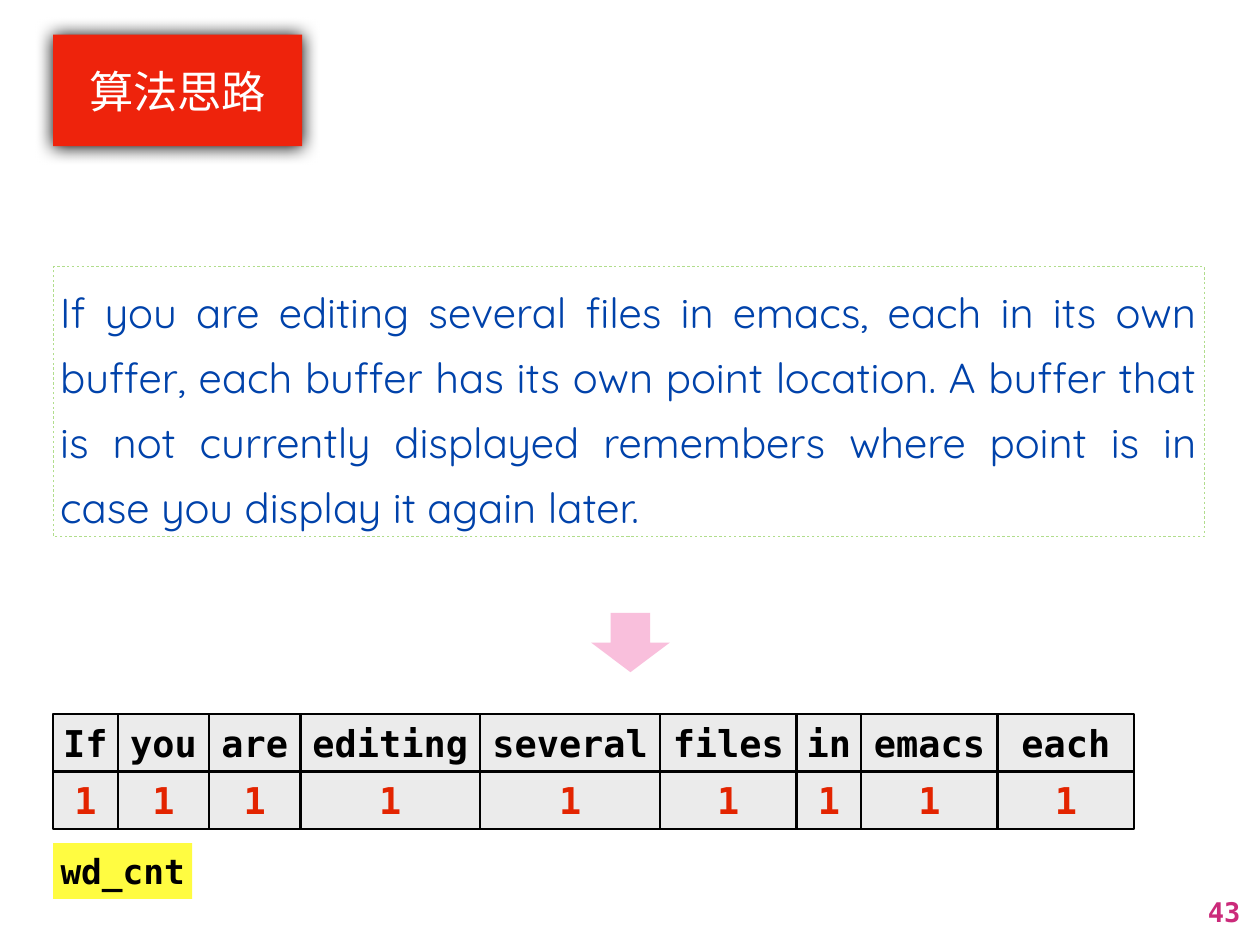
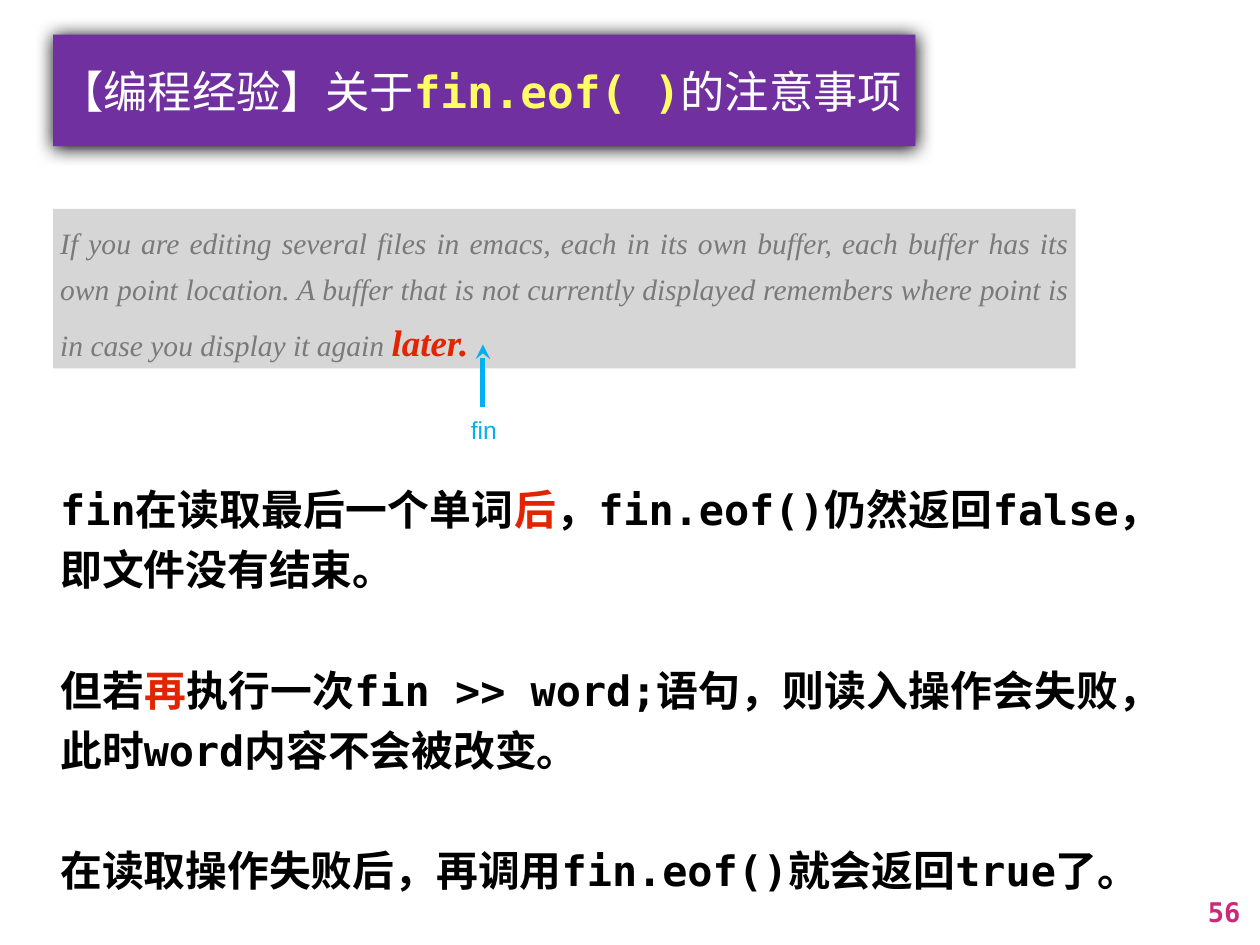
from lxml import etree
from pptx import Presentation
from pptx import util as u
from pptx.dml.color import RGBColor
from pptx.enum import shapes, text
from pptx.oxml.ns import qn

PX = 9144  # one px is 1/100 inch
COLORS = dict(
    white="FFFFFF", black="000000", red="E32400", banner_red="EE230C",
    banner_purple="7030A0", code="FFFC66", page="CB2A7A", quote="0042AA",
    quote_line="B1DD8C", cell="EBEBEB", label="FFFC41", arrow="F9BFDC",
    gray="7A7A7A", gray_fill="D6D6D6", pointer="00B0F0",
)
MONO, SANS, ROUND, SERIF = "DejaVu Sans Mono", "Arial", "Quicksand", "Times New Roman"
LEFT = 60
ALIGN = text.PP_ALIGN

# ---- Content: a run is (text, style), a style is (font, size, colour, flags) ----
TITLE = (SANS, 36, "white", "")
QUOTE = ("If you are editing several files in emacs, each in its own buffer, "
         "each buffer has its own point location. A buffer that is not currently "
         "displayed remembers where point is in case you display it again ")
WORDS = [("If", 73), ("you", 103), ("are", 103), ("editing", 203), ("several", 203),
         ("files", 154), ("in", 73), ("emacs", 154), ("each", 154)]
WORD, COUNT = (MONO, 30, "black", "b"), (MONO, 30, "red", "b")
BODY, KEY = (MONO, 34, "black", "b"), (MONO, 34, "red", "b")
NOTES = [
    [("fin在读取最后一个单词", BODY), ("后", KEY),
     ("，fin.eof()仍然返回false，即文件没有结束。", BODY)],
    [("但若", BODY), ("再", KEY),
     ("执行一次fin >> word;语句，则读入操作会失败，此时word内容不会被改变。", BODY)],
    [("在读取操作失败后，再调用fin.eof()就会返回true了。", BODY)],
]


# ---- Helpers ----
def px(*values):
    return [u.Emu(round(v * PX)) for v in values]


def rgb(name):
    return RGBColor.from_string(COLORS[name])


def place(sp, at):
    sp.left, sp.top, sp.width, sp.height = px(*at)


def write(tf, paras, align, spacing=None, gap=0, wrap=True, margin=8, grow=True):
    fit = text.MSO_AUTO_SIZE
    tf.auto_size = fit.SHAPE_TO_FIT_TEXT if grow else fit.NONE
    tf.word_wrap = wrap
    tf.vertical_anchor = text.MSO_ANCHOR.MIDDLE
    tf.margin_left = tf.margin_right = tf.margin_top = tf.margin_bottom = px(margin)[0]
    for i, runs in enumerate(paras):
        p = tf.add_paragraph() if i else tf.paragraphs[0]
        p.alignment = align
        p.space_before = u.Pt(gap if i else 0)
        if spacing:
            p.line_spacing = spacing
        for words, (font, size, color, flags) in runs:
            r = p.add_run()
            r.text = words
            r.font.name, r.font.size = font, u.Pt(size)
            r.font.bold, r.font.italic = "b" in flags, "i" in flags
            r.font.color.rgb = rgb(color)


def add_block(s, at, fill=None, line=None, width=1, kind=shapes.MSO_SHAPE.RECTANGLE):
    sp = s.shapes.add_shape(kind, *px(*at))
    sp.shadow.inherit = False
    if fill:
        sp.fill.solid()
        sp.fill.fore_color.rgb = rgb(fill)
    else:
        sp.fill.background()
    if line:
        sp.line.color.rgb = rgb(line)
        sp.line.width = u.Pt(width)
    else:
        sp.line.fill.background()
    return sp


def add_dots(sp):
    dash = etree.SubElement(sp.line._get_or_add_ln(), qn("a:custDash"))
    etree.SubElement(dash, qn("a:ds"), d="200000", sp="200000")


def add_shadow(sp):
    effects = etree.SubElement(sp._element.spPr, qn("a:effectLst"))
    shadow = etree.SubElement(effects, qn("a:outerShdw"), blurRad=str(u.Pt(15)),
                              dist=str(u.Pt(0.7)), dir="5400000", rotWithShape="0")
    etree.SubElement(shadow, qn("a:srgbClr"), val=COLORS["black"])


def add_slide(prs, layout, page, runs, width, color, align):
    """A slide with its banner title and page number."""
    s = prs.slides.add_slide(prs.slide_layouts[layout])
    title = s.shapes.title
    place(title, (LEFT, 39, width, 126))
    title.fill.solid()
    title.fill.fore_color.rgb = rgb(color)
    add_shadow(title)
    write(title.text_frame, [runs], align, margin=7, grow=False)
    number = s.shapes.add_textbox(*px(1355, 1004, 52, 50))
    write(number.text_frame, [[(page, (MONO, 22, "page", "b"))]], ALIGN.RIGHT,
          wrap=False, margin=7)
    return s


# ---- Slides ----
def build_idea(prs):
    s = add_slide(prs, 5, "43", [("算法思路", TITLE)], 281, "banner_red", ALIGN.CENTER)

    quote = add_block(s, (LEFT, 301, 1299, 305), line="quote_line")
    add_dots(quote)
    write(quote.text_frame, [[(QUOTE + "later.", (ROUND, 34, "quote", ""))]],
          ALIGN.JUSTIFY, spacing=1.3)
    add_block(s, (667, 692, 89, 67), "arrow", kind=shapes.MSO_SHAPE.DOWN_ARROW)

    # Word blocks, each above its count
    left, top, side = LEFT, 806, 65
    for word, width in WORDS:
        for row, (words, style) in enumerate([(word, WORD), ("1", COUNT)]):
            block = add_block(s, (left, top + row * side, width, side),
                              "cell", "black", 2)
            write(block.text_frame, [[(words, style)]], ALIGN.CENTER, grow=False)
        left += width

    label = add_block(s, (LEFT, 952, 157, 63), "label")
    write(label.text_frame, [[("wd_cnt", (MONO, 28, "black", "b"))]],
          ALIGN.CENTER, wrap=False)


def build_eof(prs):
    runs = [("【编程经验】关于", TITLE), ("fin.eof( )", (MONO, 36, "code", "b")),
            ("的注意事项", TITLE)]
    s = add_slide(prs, 1, "56", runs, 973, "banner_purple", ALIGN.LEFT)

    quote = add_block(s, (LEFT, 236, 1154, 180), "gray_fill")
    write(quote.text_frame, [[(QUOTE, (SERIF, 24, "gray", "i")),
                              ("later.", (SERIF, 30, "red", "bi"))]],
          ALIGN.JUSTIFY, spacing=1.3)

    # Read position
    pointer = s.shapes.add_connector(shapes.MSO_CONNECTOR.STRAIGHT,
                                     *px(545, 389, 545, 460))
    pointer.line.color.rgb = rgb("pointer")
    pointer.line.width = u.Pt(4)
    etree.SubElement(pointer.line._get_or_add_ln(), qn("a:headEnd"), type="stealth")
    etree.SubElement(pointer._element.spPr, qn("a:effectLst"))
    name = s.shapes.add_textbox(*px(505, 460, 82, 50))
    write(name.text_frame, [[("fin", (SANS, 20, "pointer", ""))]],
          ALIGN.CENTER, wrap=False)

    # Notes without bullets
    body = s.placeholders[1]
    place(body, (LEFT, 526, 1258, 494))
    write(body.text_frame, NOTES, ALIGN.JUSTIFY, spacing=1.2, gap=49)
    for p in body.text_frame.paragraphs:
        p_pr = p._p.get_or_add_pPr()
        for name, value in (("marL", "0"), ("indent", "0"), ("hangingPunct", "0")):
            p_pr.set(name, value)
        etree.SubElement(p_pr, qn("a:buNone"))


def main():
    prs = Presentation()
    prs.slide_width, prs.slide_height = px(1422, 1067)
    build_idea(prs)
    build_eof(prs)
    prs.save("out.pptx")


if __name__ == "__main__":
    main()
